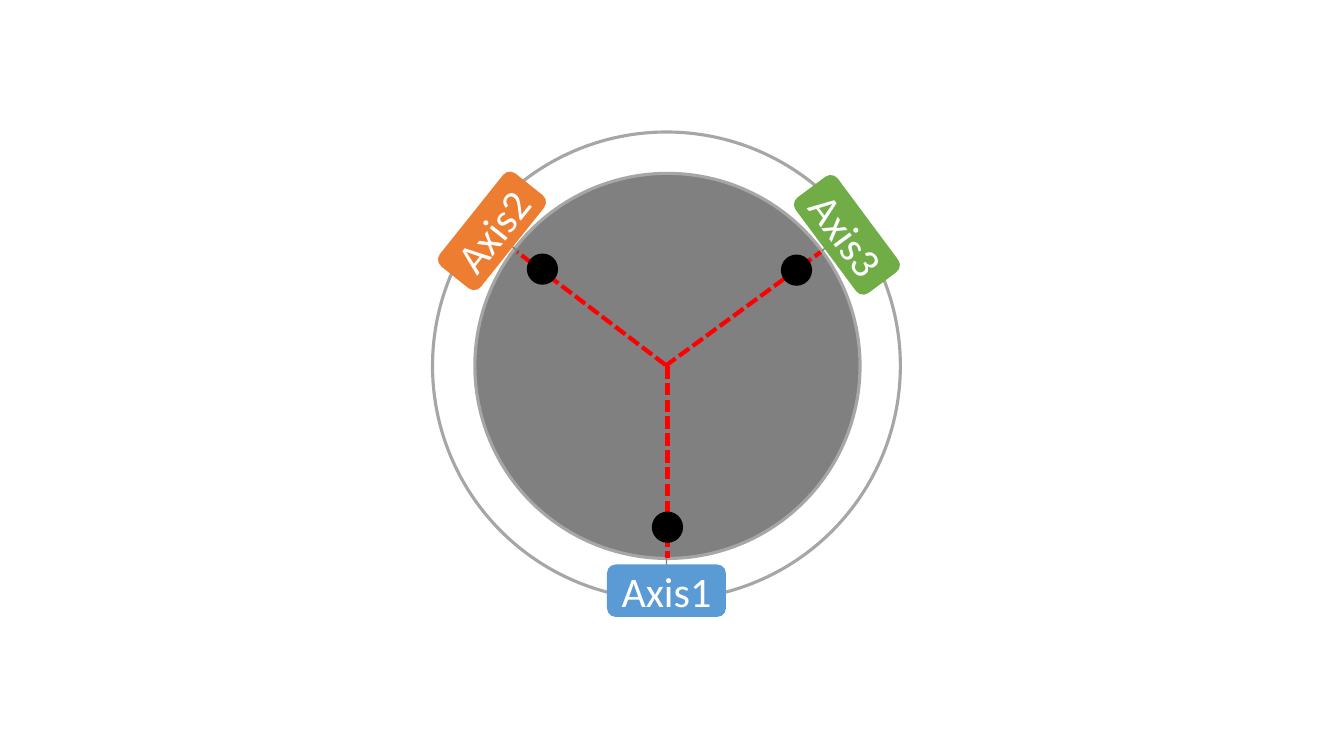
from lxml import etree
from pptx import Presentation
from pptx import util as u
from pptx.dml.color import RGBColor
from pptx.enum import dml, shapes, text
from pptx.oxml.ns import qn

PX = 9144  # EMU per px, 100 px to the inch
THEME = {
    "font": "Calibri", "label_size": 30, "label_text": "FFFFFF",
    "disc": "808080", "rim": "A6A6A6", "rim_width": 2.25,
    "spoke": "FF0000", "spoke_width": 3,
    "lead": "808080", "lead_width": 1, "pin": "000000",
}
DISC_CENTER, DISC_RADIUS = (662, 363), 191
RING_CENTER, RING_RADIUS = (661, 363), 232
PIN_SIZE = 31
LABEL_WIDTH, LABEL_HEIGHT = 118, 52

# Each axis: spoke and lead as (from, to), pin and label as centres
AXES = [
    {"name": "Axis1", "color": "5B9BD5", "rotation": 0, "label": (661, 586), "pin": (662, 523),
     "spoke": ((662, 363), (662, 554)), "lead": ((662, 610), (661, 554))},
    {"name": "Axis2", "color": "ED7D31", "rotation": 308.6, "label": (488, 229), "pin": (538, 267),
     "spoke": ((660, 362), (513, 250)), "lead": ((512, 248), (476, 217))},
    {"name": "Axis3", "color": "70AD47", "rotation": 53.4, "label": (840, 233), "pin": (790, 268),
     "spoke": ((660, 363), (814, 250)), "lead": ((815, 249), (854, 217))},
]

presentation = Presentation()
presentation.slide_width, presentation.slide_height = 1333 * PX, 750 * PX
slide = presentation.slides.add_slide(presentation.slide_layouts[6])


def add_centered(kind, center, width, height, fill=None, line=None):
    """Add a preset shape around its centre; without a colour a part stays empty."""
    left, top = center[0] * PX - width * PX // 2, center[1] * PX - height * PX // 2
    shape = slide.shapes.add_shape(kind, left, top, width * PX, height * PX)
    shape.shadow.inherit = False
    if fill:
        shape.fill.solid()
        shape.fill.fore_color.rgb = RGBColor.from_string(fill)
    else:
        shape.fill.background()
    if line:
        shape.line.color.rgb = RGBColor.from_string(line)
        shape.line.width = u.Pt(THEME["rim_width"])
    else:
        shape.line.fill.background()
    return shape


def add_lines(part, dash=None):
    """Add one straight line per axis for the named part."""
    for axis in AXES:
        ends = [value * PX for point in axis[part] for value in point]
        connector = slide.shapes.add_connector(shapes.MSO_CONNECTOR.STRAIGHT, *ends)
        connector.line.color.rgb = RGBColor.from_string(THEME[part])
        connector.line.width = u.Pt(THEME[part + "_width"])
        connector.line.dash_style = dash
        etree.SubElement(connector._element.spPr, qn("a:effectLst"))


# Disc, dashed spokes, outer ring and leads
OVAL = shapes.MSO_SHAPE.OVAL
add_centered(OVAL, DISC_CENTER, 2 * DISC_RADIUS, 2 * DISC_RADIUS, THEME["disc"], THEME["rim"])
add_lines("spoke", dml.MSO_LINE.SQUARE_DOT)
add_centered(OVAL, RING_CENTER, 2 * RING_RADIUS, 2 * RING_RADIUS, line=THEME["rim"])
add_lines("lead")

# Pins
for axis in AXES:
    add_centered(OVAL, axis["pin"], PIN_SIZE, PIN_SIZE, THEME["pin"])

# Axis labels
FRAME_FORMAT = {
    "margin_left": 0, "margin_right": 0, "margin_top": 0, "margin_bottom": 0,
    "word_wrap": False, "vertical_anchor": text.MSO_ANCHOR.MIDDLE,
}
FONT_FORMAT = {"name": THEME["font"], "size": u.Pt(THEME["label_size"])}
for axis in AXES:
    label = add_centered(shapes.MSO_SHAPE.ROUNDED_RECTANGLE, axis["label"],
                         LABEL_WIDTH, LABEL_HEIGHT, axis["color"])
    label.rotation = axis["rotation"]
    for name, value in FRAME_FORMAT.items():
        setattr(label.text_frame, name, value)
    paragraph = label.text_frame.paragraphs[0]
    paragraph.alignment = text.PP_ALIGN.CENTER
    run = paragraph.add_run()
    run.text = axis["name"]
    for name, value in FONT_FORMAT.items():
        setattr(run.font, name, value)
    run.font.color.rgb = RGBColor.from_string(THEME["label_text"])

presentation.save("out.pptx")
